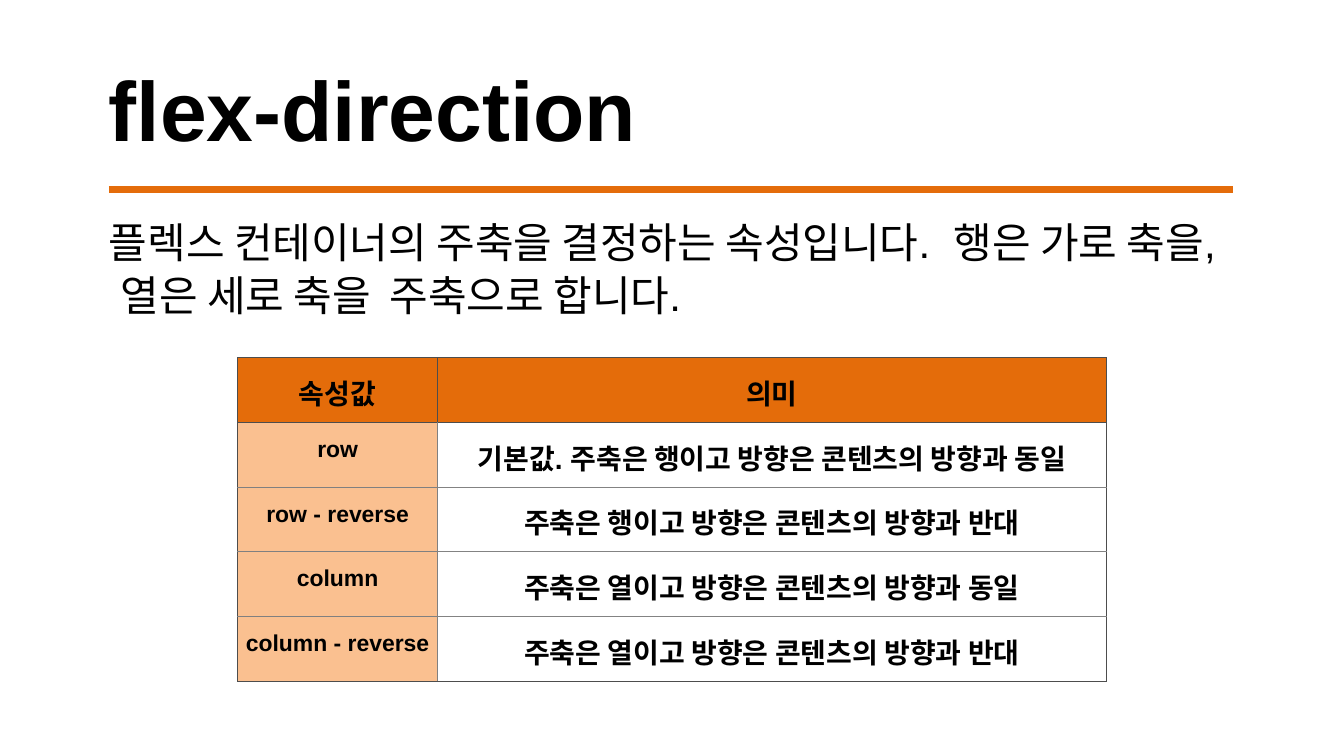
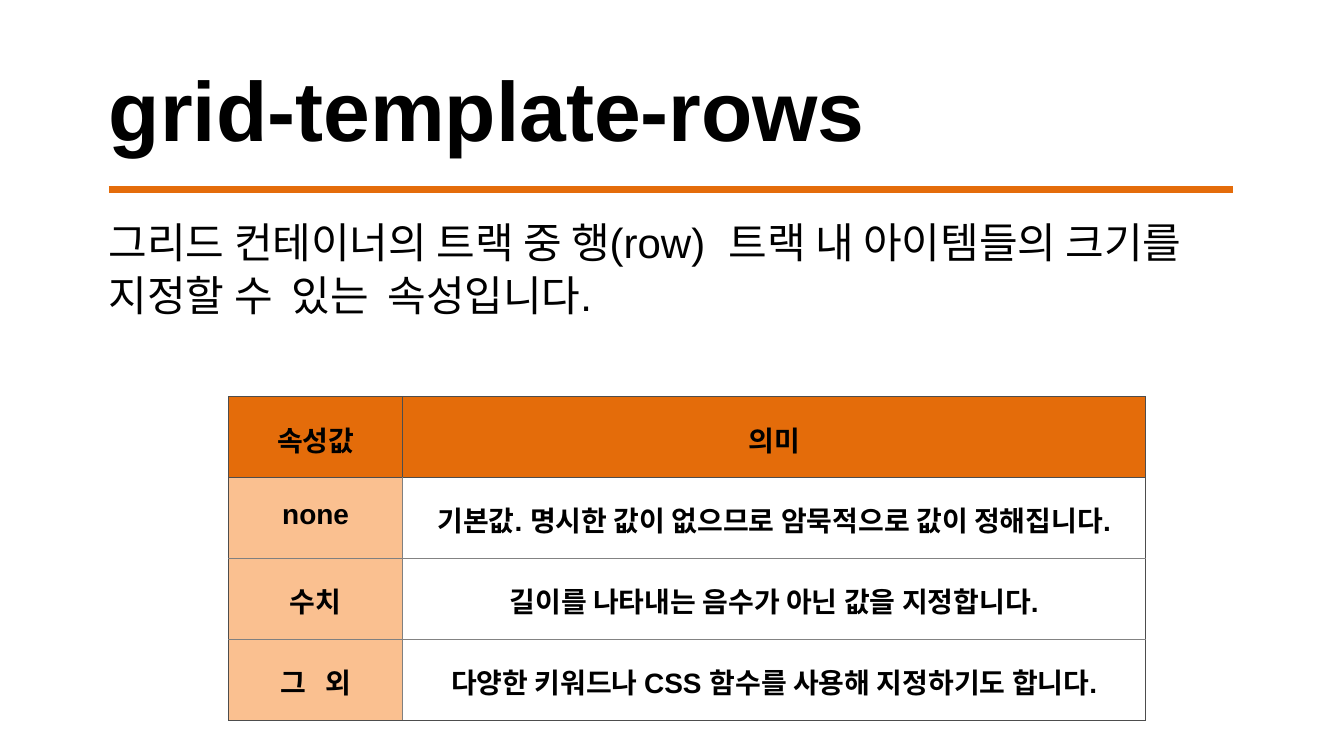
from lxml import etree
from pptx import Presentation
from pptx.dml.color import RGBColor
from pptx.enum.shapes import MSO_CONNECTOR
from pptx.enum.text import MSO_ANCHOR, MSO_AUTO_SIZE, PP_ALIGN
from pptx.oxml.ns import qn
from pptx.util import Inches, Pt

STRAIGHT = MSO_CONNECTOR.STRAIGHT
TOP, LEFT, CENTER = MSO_ANCHOR.TOP, PP_ALIGN.LEFT, PP_ALIGN.CENTER
GROW = MSO_AUTO_SIZE.SHAPE_TO_FIT_TEXT

HEADER = ("속성값", "의미")
# Table: left, top and width in inches, share of the key column,
# cell padding and key size in points.
SLIDES = [
    {
        "title": "flex-direction",
        "intro": "플렉스 컨테이너의 주축을 결정하는 속성입니다.  행은 가로 축을, "
                 "열은 세로 축을  주축으로 합니다.",
        "intro_width": 18.05,
        "table": {"left": 3.89, "top": 5.85, "width": 14.21,
                  "key_share": 0.23, "padding": 16.8, "key_size": 27},
        "rows": [
            ("row", "기본값. 주축은 행이고 방향은 콘텐츠의 방향과 동일"),
            ("row - reverse", "주축은 행이고 방향은 콘텐츠의 방향과 반대"),
            ("column", "주축은 열이고 방향은 콘텐츠의 방향과 동일"),
            ("column - reverse", "주축은 열이고 방향은 콘텐츠의 방향과 반대"),
        ],
    },
    {
        "title": "grid-template-rows",
        "intro": "그리드 컨테이너의 트랙 중 행(row)  트랙 내 아이템들의 크기를 "
                 "지정할 수  있는  속성입니다.",
        "intro_width": 18.2,
        "table": {"left": 3.74, "top": 6.49, "width": 15,
                  "key_share": 0.19, "padding": 25.8, "key_size": 33},
        "rows": [
            ("none", "기본값. 명시한 값이 없으므로 암묵적으로 값이 정해집니다."),
            ("수치", "길이를 나타내는 음수가 아닌 값을 지정합니다."),
            ("그   외", "다양한 키워드나 CSS 함수를 사용해 지정하기도 합니다."),
        ],
    },
]

SLIDE_W, SLIDE_H = 21.99, 12.37
MARGIN, RULE_WIDTH = 1.78, 18.4
TITLE_TOP, RULE_TOP, INTRO_TOP = 0.93, 3.1, 3.49
TABLE_HEIGHT = 5.3
FONT, TITLE_SIZE, INTRO_SIZE, CELL_SIZE = "Arial", 99, 49.5, 33
BLACK, ORANGE, PEACH = "000000", "E46C0A", "FAC090"
FRAME, KEY_EDGE, MEANING_EDGE = "4D4D4D", "808080", "838383"


def rgb(value):
    """Turn a hex string into a colour."""
    return RGBColor.from_string(value)


def write(frame, text, size, bold, align, before):
    """Put one formatted paragraph into a text frame."""
    frame.text = text
    paragraph = frame.paragraphs[0]
    paragraph.alignment = align
    paragraph.space_before = Pt(before)
    font = paragraph.font
    font.name, font.size, font.bold = FONT, Pt(size), bold
    font.color.rgb = rgb(BLACK)
    return paragraph


def fit(frame):
    """Give a text frame tight margins and let it grow with its text."""
    frame.word_wrap = True
    frame.auto_size = GROW
    frame.vertical_anchor = TOP
    frame.margin_left = frame.margin_right = frame.margin_bottom = 0
    frame.margin_top = Inches(0.01)


def add_heading(slide, title):
    """Fill the title and draw the rule under it."""
    heading = slide.shapes.title
    heading.left, heading.top = Inches(MARGIN), Inches(TITLE_TOP)
    heading.width, heading.height = Inches(RULE_WIDTH), Inches(1.68)
    fit(heading.text_frame)
    write(heading.text_frame, title, TITLE_SIZE, True, LEFT, 0.9)
    rule = slide.shapes.add_connector(
        STRAIGHT, Inches(MARGIN), Inches(RULE_TOP),
        Inches(MARGIN + RULE_WIDTH), Inches(RULE_TOP))
    rule.line.color.rgb = rgb(ORANGE)
    rule.line.width = Pt(8.24)
    etree.SubElement(rule._element.spPr, qn("a:effectLst"))


def add_intro(slide, text, width):
    """Add the explanation under the rule."""
    intro = slide.shapes.add_textbox(
        Inches(MARGIN), Inches(INTRO_TOP), Inches(width), Inches(1.77))
    fit(intro.text_frame)
    paragraph = write(intro.text_frame, text, INTRO_SIZE, False, LEFT, 1)
    paragraph.line_spacing = 1.05


def edge_colours(row, column, last_row):
    """Return the border colours of a cell: dark frame, lighter inside."""
    if row == 0:
        return dict.fromkeys("LRTB", FRAME)
    inner = MEANING_EDGE if column else KEY_EDGE
    return {
        "L": KEY_EDGE if column else FRAME,
        "R": FRAME if column else KEY_EDGE,
        "T": FRAME if row == 1 else inner,
        "B": FRAME if row == last_row else inner,
    }


def set_borders(cell, colours):
    """Draw the four edges of a cell, one point wide."""
    properties = cell._tc.get_or_add_tcPr()
    for side, colour in colours.items():
        edge = etree.SubElement(properties, qn("a:ln" + side), w=str(Pt(1)))
        solid = etree.SubElement(edge, qn("a:solidFill"))
        etree.SubElement(solid, qn("a:srgbClr"), val=colour)


def add_value_table(slide, rows, left, top, width, key_share, padding, key_size):
    """Add the table of property values and their meanings."""
    lines = [HEADER, *rows]
    table = slide.shapes.add_table(
        len(lines), len(HEADER), Inches(left), Inches(top),
        Inches(width), Inches(TABLE_HEIGHT)).table
    table.first_row = table.horz_banding = False
    for column, share in zip(table.columns, (key_share, 1 - key_share)):
        column.width = Inches(width * share)
    for r, line in enumerate(lines):
        table.rows[r].height = Inches(TABLE_HEIGHT / len(lines))
        for c, text in enumerate(line):
            cell = table.cell(r, c)
            cell.margin_left = cell.margin_right = cell.margin_bottom = 0
            cell.margin_top = Pt(padding)
            set_borders(cell, edge_colours(r, c, len(rows)))
            if r and c:
                cell.fill.background()
            else:
                cell.fill.solid()
                cell.fill.fore_color.rgb = rgb(PEACH if r else ORANGE)
            size = key_size if r and not c else CELL_SIZE
            write(cell.text_frame, text, size, True, CENTER, padding)


def main():
    """Build the slides and save them."""
    deck = Presentation()
    deck.slide_width, deck.slide_height = Inches(SLIDE_W), Inches(SLIDE_H)
    title_only = deck.slide_layouts[5]
    for content in SLIDES:
        slide = deck.slides.add_slide(title_only)
        add_heading(slide, content["title"])
        add_intro(slide, content["intro"], content["intro_width"])
        add_value_table(slide, content["rows"], **content["table"])
    deck.save("out.pptx")


main()
